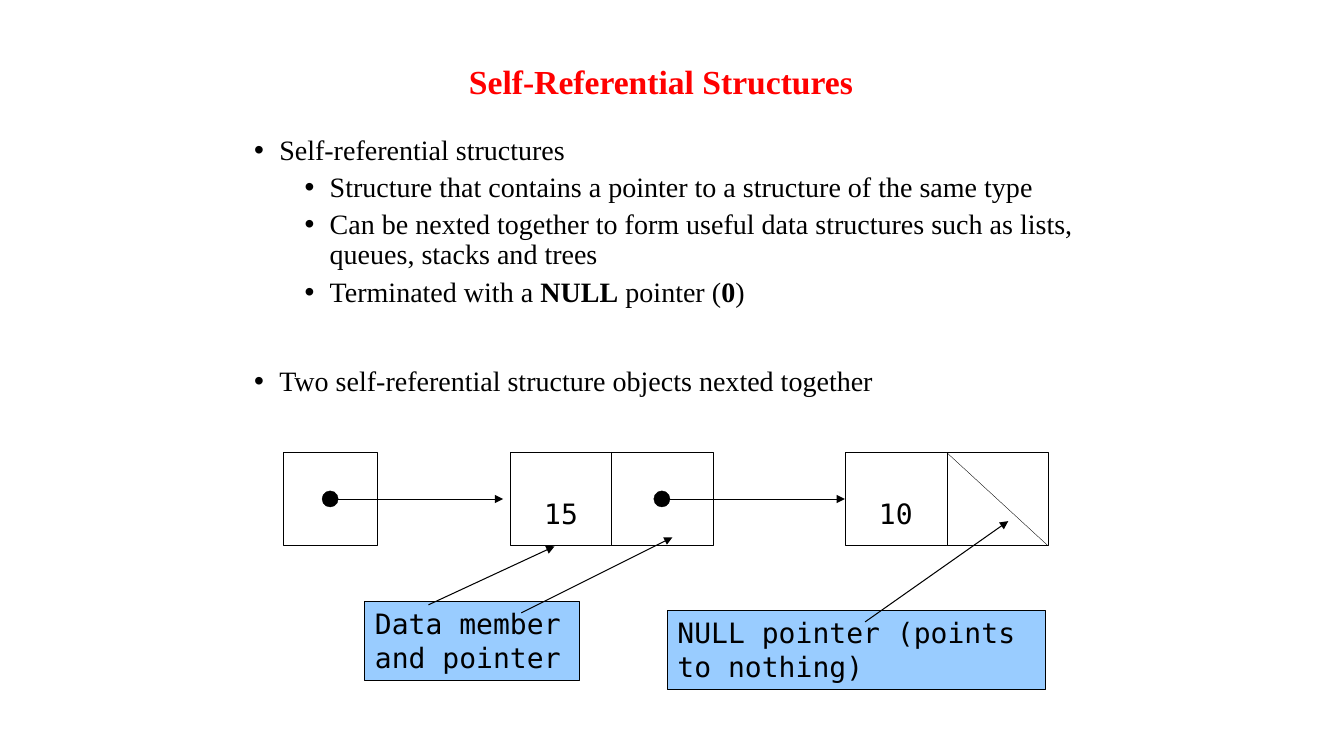
from dataclasses import dataclass

from lxml import etree
from pptx import Presentation
from pptx.dml.color import RGBColor
from pptx.enum import shapes, text
from pptx.oxml import ns
from pptx.util import Inches, Pt

SERIF, MONO = "Times New Roman", "DejaVu Sans Mono"
BLACK, WHITE, RED, BLUE = "000000", "FFFFFF", "FF0000", "99CCFF"
THIN, MEDIUM = 0.25, 0.75
NODE_TOP, NODE_HEIGHT = 4.49, 0.92
NODE_MIDDLE, NODE_BOTTOM = NODE_TOP + NODE_HEIGHT / 2, NODE_TOP + NODE_HEIGHT
DOT = 0.16


@dataclass
class Bullet:
    phrases: list[str]  # every second phrase is bold
    level: int = 0
    space_before: float = 10


@dataclass
class Cell:
    left: float
    width: float = 1.01
    value: str = ""
    dot: bool = False


@dataclass
class Label:
    left: float
    top: float
    width: float
    caption: str


@dataclass
class Line:
    start: tuple[float, float]
    end: tuple[float, float]
    width: float = MEDIUM
    arrow: bool = True


BULLETS = [
    Bullet(["Self-referential structures"]),
    Bullet(["Structure that contains a pointer to a structure of the same type"], 1, 5),
    Bullet(["Can be nexted together to form useful data structures such as lists, "
            "queues, stacks and trees"], 1, 5),
    Bullet(["Terminated with a ", "NULL", " pointer (", "0", ")"], 1, 5),
    Bullet(["Two self-referential structure objects nexted together"], space_before=42),
]
CELLS = [
    Cell(2.81, 0.93, dot=True),
    Cell(5.06, value="15"),
    Cell(6.06, dot=True),
    Cell(8.38, value="10"),
    Cell(9.39),
]
LABELS = [
    Label(6.62, 6.06, 3.75, "NULL pointer (points to nothing)"),
    Label(3.62, 5.97, 2.13, "Data member and pointer"),
]
LINES = [
    Line((3.28, NODE_MIDDLE), (4.99, NODE_MIDDLE), THIN),
    Line((6.54, NODE_MIDDLE), (8.38, NODE_MIDDLE), THIN),
    Line((9.39, NODE_TOP), (10.39, NODE_BOTTOM), THIN, arrow=False),
    Line((8.58, 6.17), (10, 5.17)),
    Line((4.25, 6), (5.5, 5.42)),
    Line((5.17, 6.08), (6.67, 5.33)),
]


def color(value: str) -> RGBColor:
    return RGBColor.from_string(value)


def set_font(paragraph, name: str, size: float, fill: str = BLACK, bold: bool = False) -> None:
    font = paragraph.font
    font.name, font.size, font.bold = name, Pt(size), bold
    font.color.rgb = color(fill)


def place(placeholder, left: float, top: float, width: float, height: float) -> None:
    placeholder.left, placeholder.top = Inches(left), Inches(top)
    placeholder.width, placeholder.height = Inches(width), Inches(height)
    placeholder.text_frame.auto_size = text.MSO_AUTO_SIZE.NONE


def add_bullet(paragraph, bullet: Bullet) -> None:
    paragraph.level = bullet.level
    paragraph.line_spacing = 0.9
    paragraph.space_before = Pt(bullet.space_before)
    properties = paragraph._p.get_or_add_pPr()
    properties.set("marL", str(Inches(0.25 + 0.5 * bullet.level)))
    properties.set("indent", str(Inches(-0.25)))
    etree.SubElement(properties, ns.qn("a:buChar"), char="•")
    set_font(paragraph, SERIF, 20)
    for index, phrase in enumerate(bullet.phrases):
        run = paragraph.add_run()
        run.text = phrase
        if index % 2:
            run.font.bold = True


def add_box(slide, kind, left: float, top: float, width: float, height: float,
            fill: str, line_width: float = THIN):
    shape = slide.shapes.add_shape(
        kind, Inches(left), Inches(top), Inches(width), Inches(height))
    shape.shadow.inherit = False
    shape.fill.solid()
    shape.fill.fore_color.rgb = color(fill)
    shape.line.color.rgb = color(BLACK)
    shape.line.width = Pt(line_width)
    return shape


def write(shape, content: str, alignment, anchor) -> None:
    frame = shape.text_frame
    frame.word_wrap, frame.vertical_anchor = True, anchor
    paragraph = frame.paragraphs[0]
    paragraph.alignment = alignment
    set_font(paragraph, MONO, 20)
    paragraph.add_run().text = content


def add_cell(slide, cell: Cell) -> None:
    shape = add_box(slide, shapes.MSO_SHAPE.RECTANGLE, cell.left, NODE_TOP,
                    cell.width, NODE_HEIGHT, WHITE)
    if cell.value:
        write(shape, cell.value, text.PP_ALIGN.CENTER, text.MSO_ANCHOR.BOTTOM)
        shape.text_frame.margin_bottom = Inches(0.15)
    if cell.dot:
        add_box(slide, shapes.MSO_SHAPE.OVAL, cell.left + (cell.width - DOT) / 2,
                NODE_MIDDLE - DOT / 2, DOT, DOT, BLACK)


def add_label(slide, label: Label) -> None:
    shape = add_box(slide, shapes.MSO_SHAPE.RECTANGLE, label.left, label.top,
                    label.width, 0.78, BLUE, MEDIUM)
    write(shape, label.caption, text.PP_ALIGN.LEFT, text.MSO_ANCHOR.TOP)


def add_line(slide, line: Line) -> None:
    connector = slide.shapes.add_connector(
        shapes.MSO_CONNECTOR.STRAIGHT, *map(Inches, line.start + line.end))
    connector.line.color.rgb = color(BLACK)
    connector.line.width = Pt(line.width)
    if line.arrow:
        etree.SubElement(connector.line._get_or_add_ln(), ns.qn("a:tailEnd"), type="triangle")
    etree.SubElement(connector._element.spPr, ns.qn("a:effectLst"))


def main() -> None:
    presentation = Presentation()
    presentation.slide_width, presentation.slide_height = Inches(13.33), Inches(7.5)
    slide = presentation.slides.add_slide(presentation.slide_layouts[1])
    title, body = slide.placeholders

    # Title
    place(title, 2.34, 0.51, 8.35, 0.64)
    title.text_frame.text = " Self-Referential Structures"
    heading = title.text_frame.paragraphs[0]
    heading.line_spacing = 0.9
    set_font(heading, SERIF, 24, RED, bold=True)

    # Bullet list
    place(body, 2.42, 1.3, 8.5, 3.04)
    frame = body.text_frame
    for index, bullet in enumerate(BULLETS):
        add_bullet(frame.add_paragraph() if index else frame.paragraphs[0], bullet)

    # Linked structures with their labels and pointers
    for cell in CELLS:
        add_cell(slide, cell)
    for label in LABELS:
        add_label(slide, label)
    for line in LINES:
        add_line(slide, line)

    presentation.save("out.pptx")


if __name__ == "__main__":
    main()
